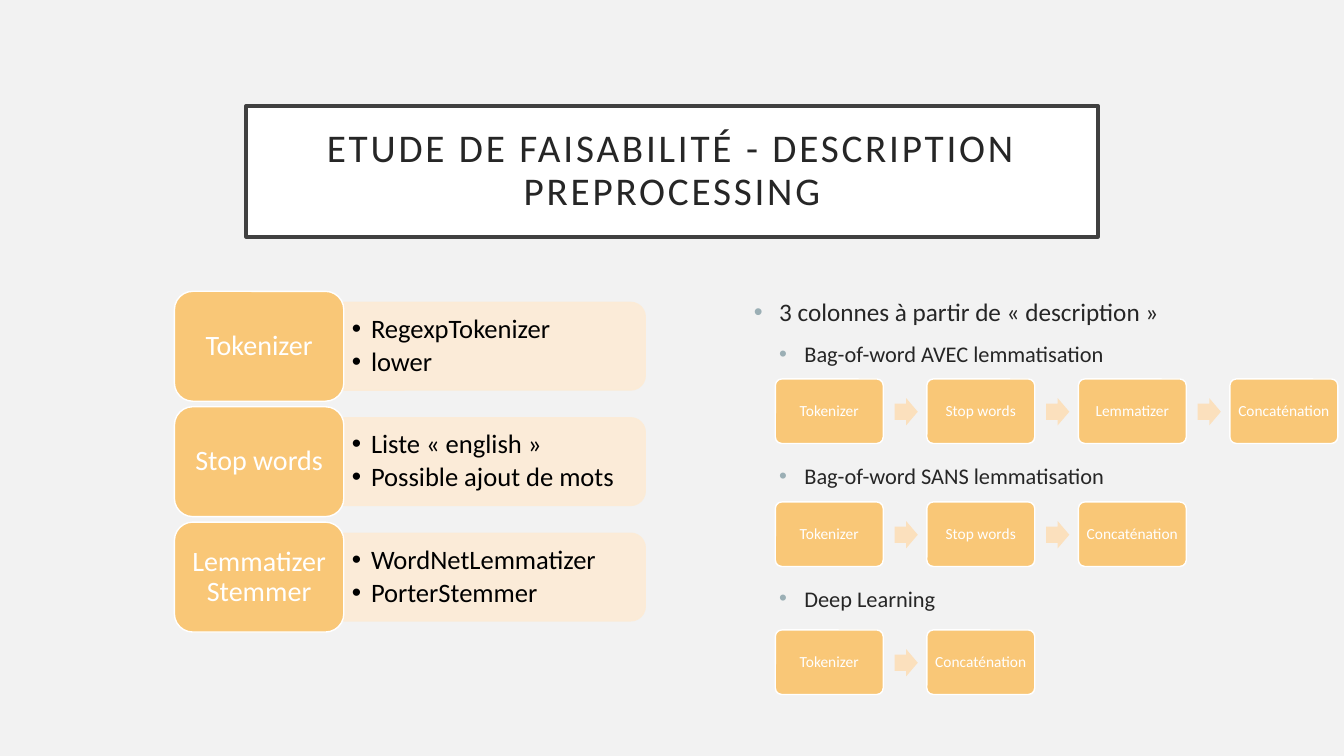
from dataclasses import dataclass
from typing import Optional

from pptx import Presentation
from pptx.dml.color import RGBColor
from pptx.enum.shapes import MSO_SHAPE as SHAPE
from pptx.enum.text import MSO_ANCHOR as ANCHOR, MSO_AUTO_SIZE as AUTO, PP_ALIGN as ALIGN
from pptx.oxml.ns import qn
from pptx.util import Inches, Pt
from lxml.etree import SubElement

FONT = "Calibri"
ORANGE, PALE, ARROW = "F9C777", "FDEBD6", "FBE0BD"
WHITE, BLACK, DARK, BULLET = "FFFFFF", "000000", "262626", "9BAFB5"


@dataclass
class Step:
    name: str
    details: str


@dataclass
class Flow:
    top: float
    steps: list[str]


@dataclass
class Item:
    text: str
    size: float
    indent: float
    before: float


STEPS = [
    Step("Tokenizer", "RegexpTokenizer\nlower"),
    Step("Stop words", "Liste «\u00a0english\u00a0»\nPossible ajout de mots"),
    Step("Lemmatizer\vStemmer", "WordNetLemmatizer\nPorterStemmer"),
]
FLOWS = [
    Flow(3.76, ["Tokenizer", "Stop words", "Lemmatizer", "Concaténation"]),
    Flow(4.98, ["Tokenizer", "Stop words", "Concaténation"]),
    Flow(6.25, ["Tokenizer", "Concaténation"]),
]
ITEMS = [
    Item("3 colonnes à partir de «\u00a0description\u00a0»", 18, 0.25, 0),
    Item("Bag-of-word AVEC lemmatisation", 16, 0.5, 10),
    Item("Bag-of-word SANS lemmatisation", 16, 0.5, 68),
    Item("Deep Learning", 16, 0.5, 68),
]


def rgb(color: str) -> RGBColor:
    return RGBColor.from_string(color)


def format_text(tf, size: float, color: str, align=ALIGN.LEFT, spacing: float = 0.9) -> None:
    for p in tf.paragraphs:
        p.alignment = align
        p.line_spacing = spacing
        for r in p.runs:
            r.font.name = FONT
            r.font.size = Pt(size)
            r.font.color.rgb = rgb(color)


def set_frame(tf, margin_x: float, margin_y: float, anchor) -> None:
    tf.word_wrap = True
    tf.auto_size = AUTO.NONE
    tf.margin_left = tf.margin_right = Inches(margin_x)
    tf.margin_top = tf.margin_bottom = Inches(margin_y)
    tf.vertical_anchor = anchor


def add_bullet(p, left: float, hanging: float, color: str) -> None:
    pPr = p._p.get_or_add_pPr()
    pPr.set("marL", str(Inches(left)))
    pPr.set("indent", str(-Inches(hanging)))
    SubElement(SubElement(pPr, qn("a:buClr")), qn("a:srgbClr")).set("val", color)
    SubElement(pPr, qn("a:buFont")).set("typeface", "Arial")
    SubElement(pPr, qn("a:buChar")).set("char", "•")


def add_box(slide, kind, left: float, top: float, width: float, height: float,
            fill: str, line: Optional[str] = None):
    sp = slide.shapes.add_shape(kind, Inches(left), Inches(top), Inches(width), Inches(height))
    sp.shadow.inherit = False
    sp.fill.solid()
    sp.fill.fore_color.rgb = rgb(fill)
    if line:
        sp.line.color.rgb = rgb(line)
        sp.line.width = Pt(1)
    else:
        sp.line.fill.background()
    return sp


def add_text(slide, left: float, top: float, width: float, height: float):
    return slide.shapes.add_textbox(
        Inches(left), Inches(top), Inches(width), Inches(height)).text_frame


def add_title(slide) -> None:
    title = slide.shapes.title
    title.left, title.top = Inches(2.44), Inches(1.05)
    title.width, title.height = Inches(8.45), Inches(1.3)
    title.fill.solid()
    title.fill.fore_color.rgb = rgb(WHITE)
    title.line.color.rgb = rgb("404040")
    title.line.width = Pt(2.5)
    tf = title.text_frame
    tf.text = "ETUDE DE FAISABILITÉ - DESCRIPTION\vPREPROCESSING"
    set_frame(tf, 0.2, 0.2, ANCHOR.MIDDLE)
    format_text(tf, 28, DARK, ALIGN.CENTER)
    for r in tf.paragraphs[0].runs:
        r.font._element.set("spc", "200")


def add_items(slide) -> None:
    tf = add_text(slide, 7.38, 2.89, 4.67, 3.39)
    tf.text = "\n".join(item.text for item in ITEMS)
    set_frame(tf, 0.1, 0.05, ANCHOR.TOP)
    for p, item in zip(tf.paragraphs, ITEMS):
        p.space_before = Pt(item.before)
        add_bullet(p, item.indent, 0.25, BULLET)
    format_text(tf, 16, DARK, spacing=1.0)
    tf.paragraphs[0].runs[0].font.size = Pt(ITEMS[0].size)


def add_step(slide, step: Step, top: float) -> None:
    panel = add_box(slide, SHAPE.ROUND_2_SAME_RECTANGLE, 4.47, top - 0.95, 0.87, 2.99, PALE, PALE)
    panel.rotation = 90
    for color in panel._element.spPr.iter(qn("a:srgbClr")):
        SubElement(color, qn("a:alpha")).set("val", "90000")

    tf = add_text(slide, 3.41, top + 0.15, 2.95, 0.79)
    tf.text = step.details
    set_frame(tf, 0.08, 0.04, ANCHOR.MIDDLE)
    for p in tf.paragraphs:
        p.space_after = Pt(3)
        add_bullet(p, 0.19, 0.19, BLACK)
    format_text(tf, 19, BLACK)

    label = add_box(slide, SHAPE.ROUNDED_RECTANGLE, 1.73, top, 1.68, 1.09, ORANGE, WHITE)
    label.text_frame.text = step.name
    set_frame(label.text_frame, 0.08, 0.04, ANCHOR.MIDDLE)
    format_text(label.text_frame, 20, WHITE, ALIGN.CENTER)


def add_flow(slide, flow: Flow) -> None:
    for i, name in enumerate(flow.steps):
        left = 7.69 + 1.503 * i
        if i:
            arrow = add_box(slide, SHAPE.RIGHT_ARROW, left - 0.32, flow.top + 0.19, 0.23, 0.27, ARROW)
            arrow.adjustments[0] = 0.6
        sp = add_box(slide, SHAPE.ROUNDED_RECTANGLE, left, flow.top, 1.07, 0.64, ORANGE, WHITE)
        sp.adjustments[0] = 0.1
        sp.text_frame.text = name
        set_frame(sp.text_frame, 0.05, 0.05, ANCHOR.MIDDLE)
        format_text(sp.text_frame, 11, WHITE, ALIGN.CENTER)


def main() -> None:
    prs = Presentation()
    prs.slide_width, prs.slide_height = Inches(13.33), Inches(7.5)
    slide = prs.slides.add_slide(prs.slide_layouts[5])
    slide.background.fill.solid()
    slide.background.fill.fore_color.rgb = rgb("F2F2F2")
    add_title(slide)
    add_items(slide)
    for i, step in enumerate(STEPS):
        add_step(slide, step, 2.89 + 1.145 * i)
    for flow in FLOWS:
        add_flow(slide, flow)
    prs.save("out.pptx")


if __name__ == "__main__":
    main()
